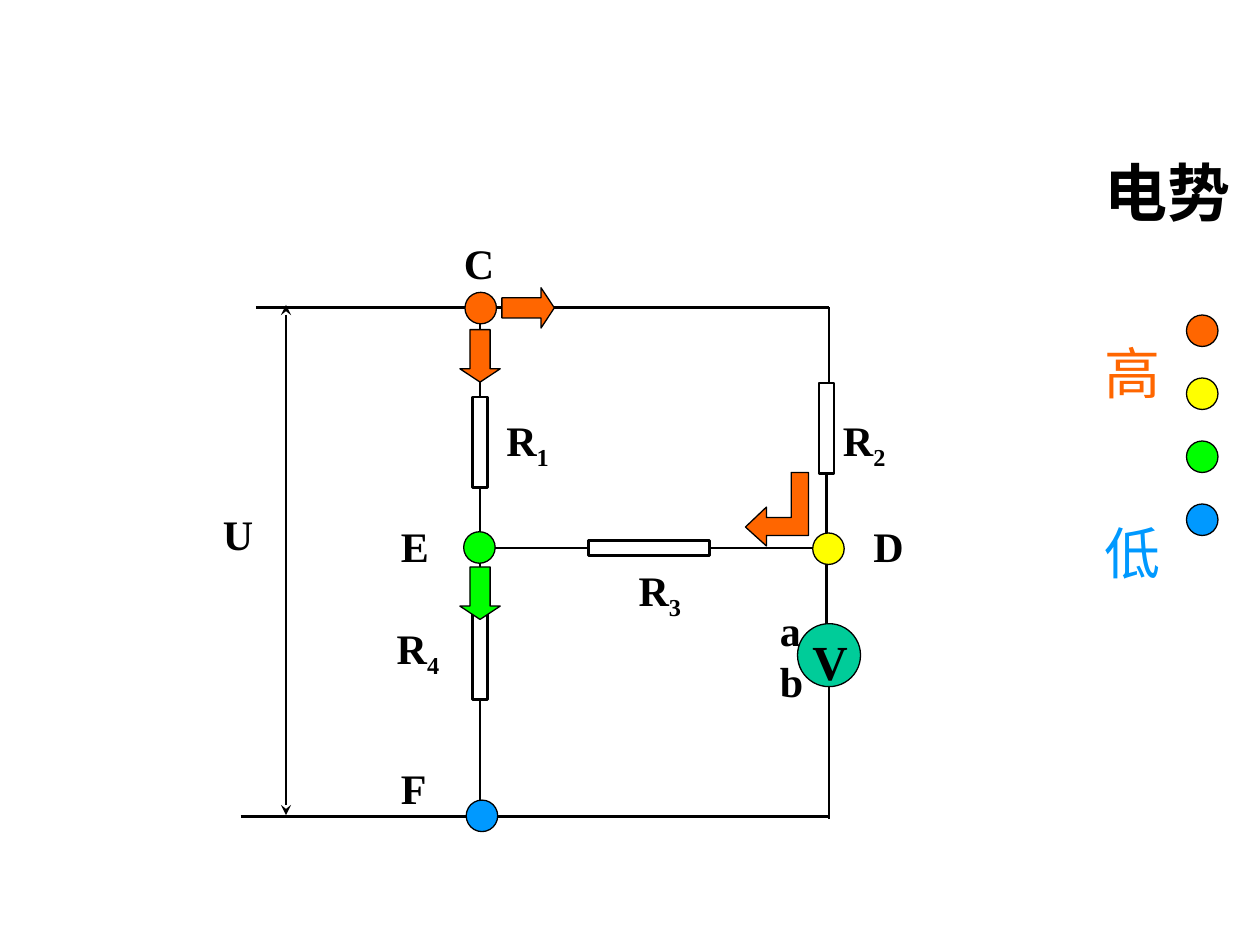
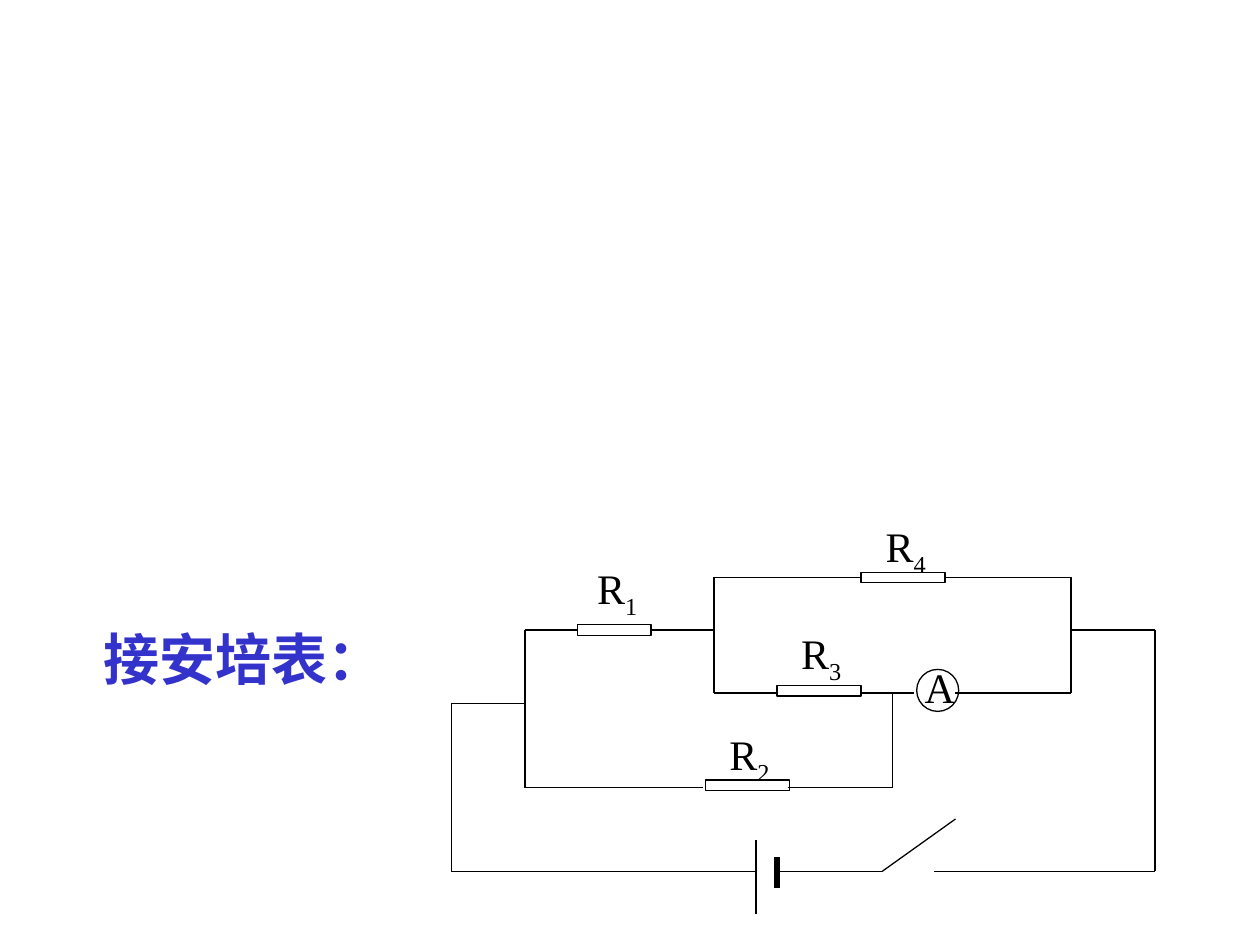
"""Build two slides of circuit diagrams on a grid of 120 columns by 90 rows."""
from lxml.etree import SubElement
from pptx import Presentation
from pptx.dml.color import RGBColor
from pptx.enum.shapes import MSO_CONNECTOR, MSO_SHAPE
from pptx.oxml.ns import qn
from pptx.util import Inches, Pt

COLORS = {"ink": "000000", "high": "FF6600", "upper": "FFFF00", "lower": "00FF00",
          "low": "0099FF", "meter": "00CC99", "heading": "3333CC"}
FONT = "Times New Roman"
CELL = Inches(10) / 120
NODE = 3


def draw_part(slide, preset, box, fill=None, width=0.75):
    left, top, wide, high = [round(value * CELL) for value in box]
    part = slide.shapes.add_shape(preset, left, top, wide, high)
    part.shadow.inherit = False
    part.line.color.rgb = RGBColor.from_string(COLORS["ink"])
    part.line.width = Pt(width)
    if fill:
        part.fill.solid()
        part.fill.fore_color.rgb = RGBColor.from_string(COLORS[fill])
    else:
        part.fill.background()
    return part


def write_label(slide, text, column, row, size=24, color="ink", bold=True, columns=15):
    lines = text.split("\n")
    label = slide.shapes.add_textbox(round(column * CELL), round(row * CELL), round(columns * CELL),
                                     Pt(size * 1.2 * len(lines)) + Inches(0.1))
    frame = label.text_frame
    frame.word_wrap = True
    for number, line in enumerate(lines):
        paragraph = frame.add_paragraph() if number else frame.paragraphs[0]
        for position, piece in enumerate(line.split("_")):
            run = paragraph.add_run()
            run.text = piece
            run.font.name = FONT
            run.font.size = Pt(size)
            run.font.bold = bold
            run.font.color.rgb = RGBColor.from_string(COLORS[color])
            if position:
                run._r.get_or_add_rPr().set("baseline", "-25000")


deck = Presentation()
deck.slide_width = Inches(10)
deck.slide_height = Inches(7.5)
potential, ammeter = [deck.slides.add_slide(deck.slide_layouts[6]) for _ in range(2)]

LEFT, RIGHT, BRANCH = 45.72, 78.96, 78.72
TOP, MIDDLE, BOTTOM = 29.28, 52.2, 77.76
potential_wires = [
    (LEFT, TOP, LEFT, 37.8), (LEFT, 46.44, LEFT, 56.52), (LEFT, 66.6, LEFT, BOTTOM),
    (LEFT, MIDDLE, 56.04, MIDDLE), (67.56, MIDDLE, RIGHT, MIDDLE),
    (RIGHT, TOP, RIGHT, 36.48), (BRANCH, 45.12, BRANCH, 59.4), (RIGHT, 65.16, RIGHT, 78),
    (24.36, TOP, RIGHT, TOP), (22.92, BOTTOM, RIGHT, BOTTOM),
]
voltage_span = [(27.24, 29.04, 27.24, 77.64)]
ammeter_wires = [
    (43, 67, 50, 67), (50, 60, 50, 75), (50, 60, 55, 60), (62, 60, 68, 60),
    (68, 55, 68, 66), (68, 55, 82, 55), (90, 55, 102, 55), (68, 66, 74, 66),
    (82, 66, 87, 66), (91, 66, 102, 66), (102, 55, 102, 66), (50, 75, 67, 75),
    (75, 75, 85, 75), (85, 66, 85, 75), (102, 60, 110, 60), (43, 67, 43, 83),
    (43, 83, 72, 83), (74, 83, 84, 83), (89, 83, 110, 83), (110, 60, 110, 83),
    (72, 80, 72, 87), (84, 83, 91, 78),
]
battery_plate = [(74, 81.6, 74, 84.6)]

for slide, wires, width, arrowed in [
    (potential, potential_wires, 1.5, False),
    (potential, voltage_span, 1.5, True),
    (ammeter, ammeter_wires, 0.75, False),
    (ammeter, battery_plate, 3, False),
]:
    for ends in wires:
        wire = slide.shapes.add_connector(MSO_CONNECTOR.STRAIGHT, *[round(end * CELL) for end in ends])
        wire.line.color.rgb = RGBColor.from_string(COLORS["ink"])
        wire.line.width = Pt(width)
        properties = wire._element.spPr
        if arrowed:
            for end in ("a:headEnd", "a:tailEnd"):
                SubElement(properties.find(qn("a:ln")), qn(end), type="stealth")
        SubElement(properties, qn("a:effectLst"))

for slide, width, resistors in [
    (potential, 1.5, [(45, 37.8, 1.44, 8.64), (45, 56.52, 1.44, 10.08),
                      (56.04, 51.48, 11.52, 1.44), (78, 36.48, 1.44, 8.64)]),
    (ammeter, 0.75, [(55, 59.5, 7, 1), (82, 54.5, 8, 1), (74, 65.3, 8, 1), (67.2, 74.3, 8, 1)]),
]:
    for resistor in resistors:
        draw_part(slide, MSO_SHAPE.RECTANGLE, resistor, width=width)

for text, column, row in [
    ("R_1", 47.04, 38.88), ("R_2", 79.1, 38.88), ("R_3", 59.64, 53.16), ("R_4", 36.6, 58.68),
    ("U", 20.04, 47.88), ("a\nb", 73.08, 57), ("C", 43, 22), ("D", 82, 49), ("E", 37, 49), ("F", 37, 72),
]:
    write_label(potential, text, column, row)

draw_part(potential, MSO_SHAPE.OVAL, (75.96, 59.4, 6, 6), "meter")
write_label(potential, "V", 76.2, 59.52, size=28, columns=6)

for level, center, row in [("high", 45.78, 29.34), ("lower", 45.66, 52.14),
                           ("low", 45.9, 77.7), ("upper", 78.9, 52.26)]:
    draw_part(potential, MSO_SHAPE.OVAL, (center - NODE / 2, row - NODE / 2, NODE, NODE), level)

for index, level in enumerate(["high", "upper", "lower", "low"]):
    draw_part(potential, MSO_SHAPE.OVAL, (113, 30 + 6 * index, NODE, NODE), level)
write_label(potential, "电势", 104, 14, size=36)
write_label(potential, "高", 104, 31.6, size=32, color="high", bold=False, columns=8)
write_label(potential, "低", 104, 48.8, size=32, color="low", bold=False, columns=8)

for direction, box, level in [
    (MSO_SHAPE.RIGHT_ARROW, (47.8, 27.4, 5, 3.84), "high"),
    (MSO_SHAPE.DOWN_ARROW, (43.8, 31.4, 3.84, 5), "high"),
    (MSO_SHAPE.DOWN_ARROW, (43.8, 54, 3.84, 5), "lower"),
]:
    current = draw_part(potential, direction, box, level)
    current.adjustments[0] = 0.5
    current.adjustments[1] = 0.33

turn = [(round(column * CELL), round(row * CELL)) for column, row in [
    (71, 50.2), (73, 48.3), (73, 49.3), (75.36, 49.3), (75.36, 45),
    (77, 45), (77, 51), (73, 51), (73, 52)]]
outline = potential.shapes.build_freeform(*turn[0])
outline.add_line_segments(turn[1:], close=True)
turning_current = outline.convert_to_shape()
turning_current.shadow.inherit = False
turning_current.fill.solid()
turning_current.fill.fore_color.rgb = RGBColor.from_string(COLORS["high"])
turning_current.line.color.rgb = RGBColor.from_string(COLORS["ink"])
turning_current.line.width = Pt(0.75)

draw_part(ammeter, MSO_SHAPE.OVAL, (87.3, 63.75, 4, 4))
write_label(ammeter, "接安培表：", 8.64, 58.92, size=32, color="heading", columns=33)
for text, column, row in [("R_1", 55.68, 53), ("R_2", 68.28, 68.8), ("R_3", 75.12, 59.2),
                          ("R_4", 83.16, 49), ("A", 86.88, 62.4)]:
    write_label(ammeter, text, column, row, bold=False)

deck.save("out.pptx")
